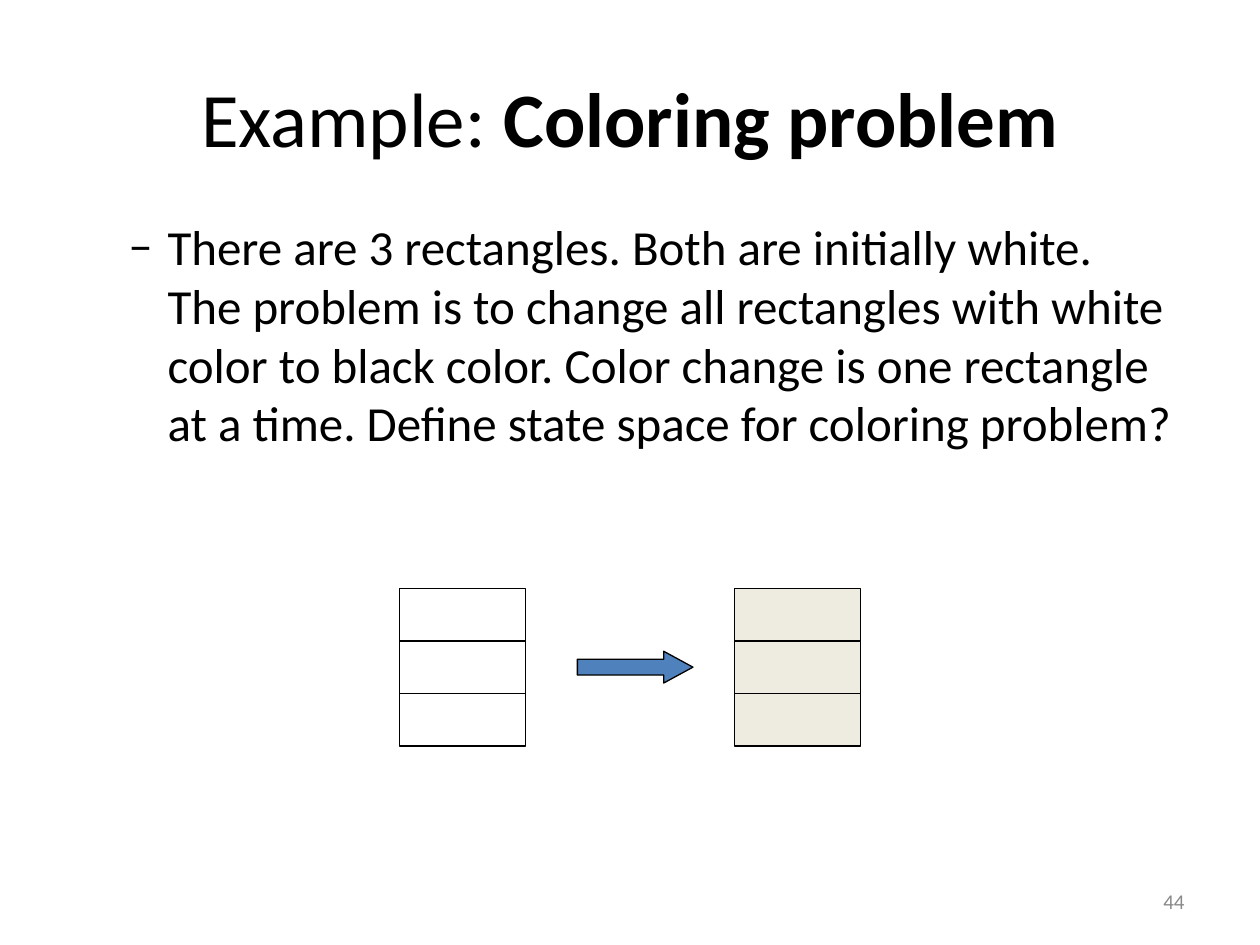
"""Build the slide that presents the coloring problem with three rectangles."""
from lxml import etree
from pptx import Presentation
from pptx.dml.color import RGBColor
from pptx.enum.shapes import MSO_SHAPE
from pptx.enum.text import MSO_ANCHOR, PP_ALIGN
from pptx.oxml.ns import qn
from pptx.util import Cm, Pt

RECTANGLE, RIGHT_ARROW = MSO_SHAPE.RECTANGLE, MSO_SHAPE.RIGHT_ARROW
TOP, MIDDLE = MSO_ANCHOR.TOP, MSO_ANCHOR.MIDDLE
LEFT, CENTER, RIGHT = PP_ALIGN.LEFT, PP_ALIGN.CENTER, PP_ALIGN.RIGHT
BLACK, GRAY, BEIGE, BLUE = "000000", "898989", "EEECE1", "4F81BD"


def add_text(page, place, text, size, color, align, anchor):
    box = page.shapes.add_textbox(*[Cm(length) for length in place])
    box.text_frame.word_wrap = True
    box.text_frame.vertical_anchor = anchor
    para = box.text_frame.paragraphs[0]
    para.text = text
    para.alignment = align
    for span in para.runs:
        span.font.name = "Calibri"
        span.font.size = Pt(size)
        span.font.color.rgb = RGBColor.from_string(color)
    return para


def add_figure(page, kind, place, fill):
    shape = page.shapes.add_shape(kind, *[Cm(length) for length in place])
    shape.shadow.inherit = False
    if fill:
        shape.fill.solid()
        shape.fill.fore_color.rgb = RGBColor.from_string(fill)
    else:
        shape.fill.background()
    shape.line.color.rgb = RGBColor.from_string(BLACK)
    shape.line.width = Pt(0.75)
    return shape


deck = Presentation()
deck.slide_width, deck.slide_height = Cm(25.4), Cm(19.05)
page = deck.slides.add_slide(deck.slide_layouts[6])

title = add_text(page, (1.27, 0.76, 22.86, 3.18), "Example: ", 44, BLACK, CENTER, MIDDLE)
span = title.add_run()
span.text = "Coloring problem"
span.font.name = "Calibri"
span.font.size = Pt(44)
span.font.bold = True
span.font.color.rgb = RGBColor.from_string(BLACK)

problem = add_text(
    page, (1.07, 4.24, 22.86, 12.57),
    "There are 3 rectangles. Both are initially white. The problem is to change "
    "all rectangles with white color to black color. Color change is one rectangle "
    "at a time. Define state space for coloring problem?",
    28, BLACK, LEFT, TOP)
properties = problem._p.get_or_add_pPr()
properties.set("marL", str(Cm(2.06)))
properties.set("indent", str(Cm(-0.79)))
etree.SubElement(properties, qn("a:buFont")).set("typeface", "Calibri")
etree.SubElement(properties, qn("a:buChar")).set("char", "–")

row_height = 1.06
for left, fill in ((8.05, None), (14.81, BEIGE)):
    for row in range(3):
        top = 11.86 + row * row_height
        add_figure(page, RECTANGLE, (left, top, 2.54, row_height), fill)

arrow = add_figure(page, RIGHT_ARROW, (11.64, 13.13, 2.33, 0.64), BLUE)
arrow.adjustments[0] = 0.5
arrow.adjustments[1] = 0.92

add_text(page, (18.2, 17.66, 5.93, 1.01), "44", 12, GRAY, RIGHT, MIDDLE)

deck.save("out.pptx")
